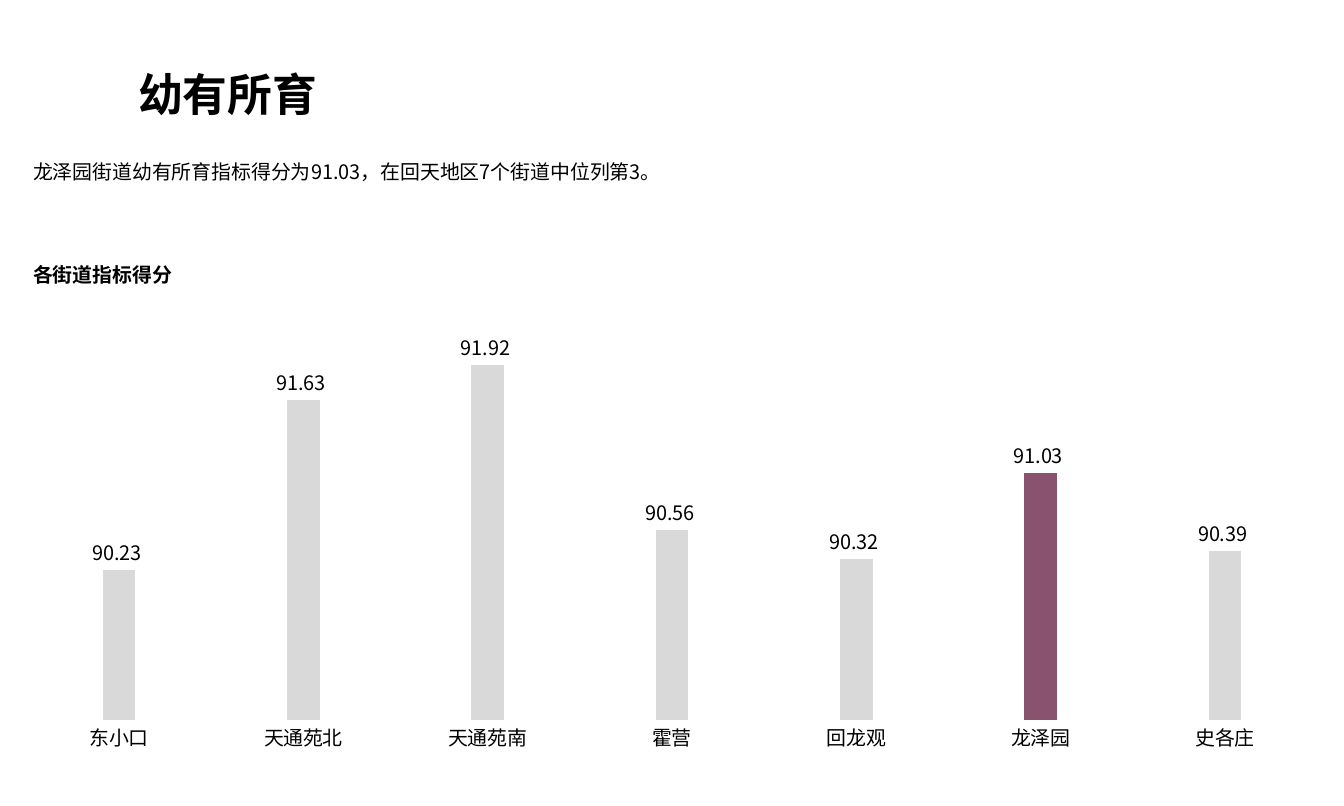
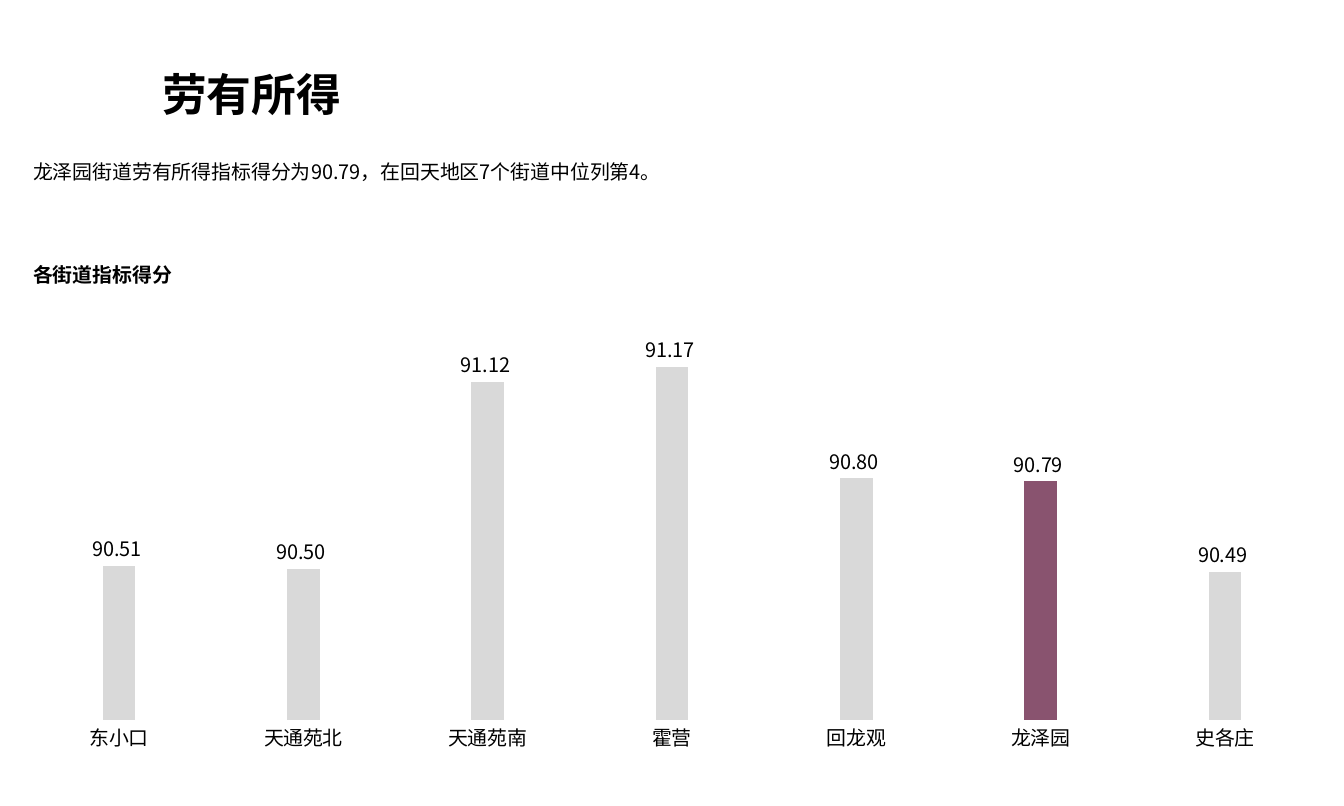
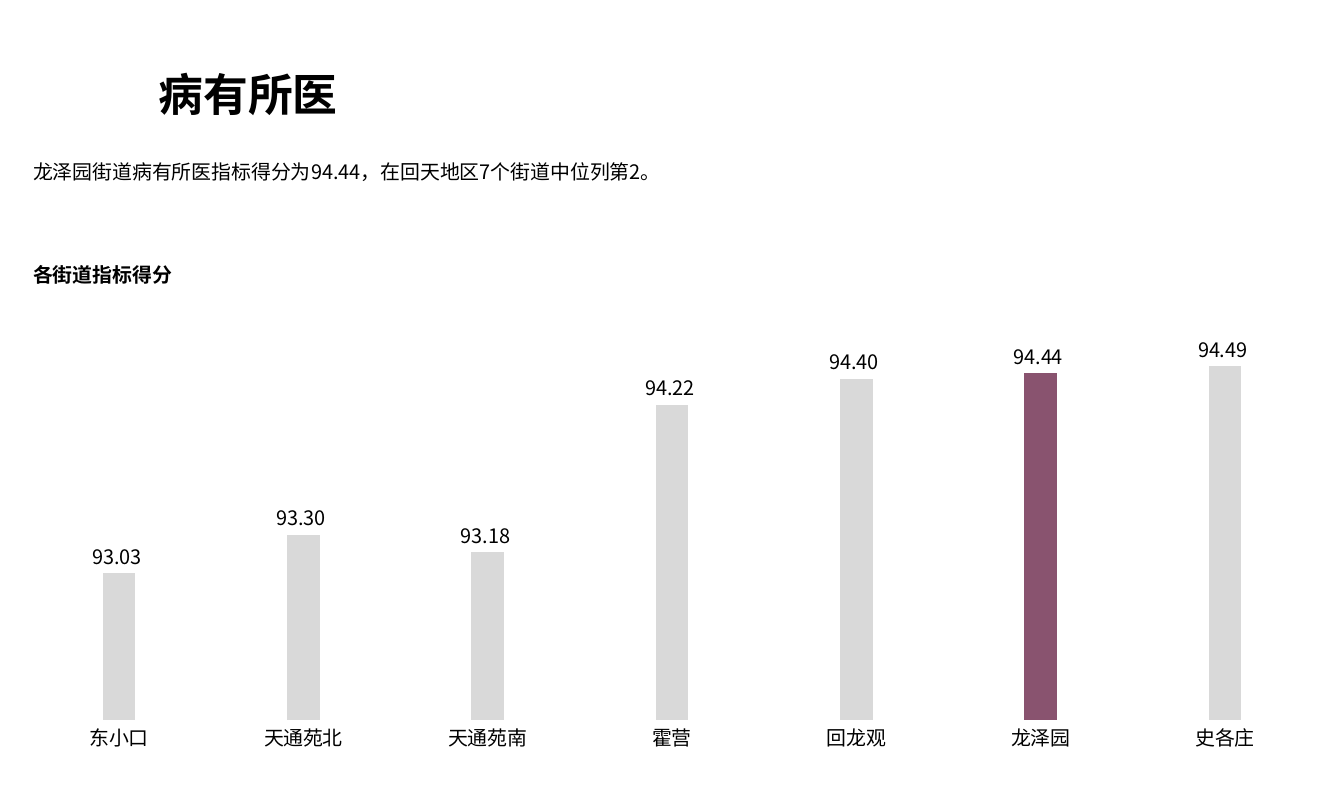
"""Build three slides that compare street scores, one indicator per slide."""
from lxml.etree import fromstring
from pptx import Presentation
from pptx.chart.data import CategoryChartData
from pptx.dml.color import RGBColor
from pptx.enum.chart import XL_CHART_TYPE as ChartType
from pptx.enum.chart import XL_LABEL_POSITION as LabelPos
from pptx.enum.chart import XL_TICK_MARK as Tick
from pptx.enum.text import MSO_ANCHOR as Anchor
from pptx.enum.text import MSO_AUTO_SIZE as AutoSize
from pptx.enum.text import PP_ALIGN as Align
from pptx.oxml import parse_xml
from pptx.oxml.ns import nsdecls, qn
from pptx.util import Cm, Pt

FONT = "Noto Sans CJK SC"
BLACK = RGBColor(0x00, 0x00, 0x00)
GREY = RGBColor(0xD9, 0xD9, 0xD9)
PLUM = RGBColor(0x89, 0x53, 0x6F)
NUMBER_FORMAT = "0.00_ "
STREETS = ["东小口", "天通苑北", "天通苑南", "霍营", "回龙观", "龙泽园", "史各庄"]
FOCUS = "龙泽园"
MARGIN = 0.69

INDICATORS = [
    dict(name="幼有所育", title_left=3.66, rank=3, low=89, high=92,
         scores=[90.23, 91.63, 91.92, 90.56, 90.32, 91.03, 90.39]),
    dict(name="劳有所得", title_left=4.34, rank=4, low=90, high=91.21,
         scores=[90.51, 90.50, 91.12, 91.17, 90.80, 90.79, 90.49]),
    dict(name="病有所医", title_left=4.24, rank=2, low=92, high=94.57,
         scores=[93.03, 93.30, 93.18, 94.22, 94.40, 94.44, 94.49]),
]


def set_font(font, size=16, bold=False):
    """Apply the shared typeface and colour."""
    font.name, font.size, font.bold = FONT, Pt(size), bold
    font.color.rgb = BLACK


def add_east_asian_font(root):
    """Use the shared typeface for Chinese characters under an element."""
    for latin in list(root.iter(qn("a:latin"))):
        latin.addnext(parse_xml(f'<a:ea {nsdecls("a")} typeface="{FONT}"/>'))


def write_text(sp, text, size=16, bold=False, anchor=Anchor.TOP, wrap=True,
               spacing=None):
    """Write one formatted paragraph into a shape."""
    tf = sp.text_frame
    tf.word_wrap, tf.vertical_anchor = wrap, anchor
    tf.auto_size = AutoSize.SHAPE_TO_FIT_TEXT
    p = tf.paragraphs[0]
    p.alignment, p.line_spacing = Align.LEFT, spacing
    r = p.add_run()
    r.text = text
    set_font(r.font, size, bold)
    add_east_asian_font(p._p)


def add_title(s, text, left):
    """Place and format the title placeholder."""
    sp = s.shapes.title
    sp.left, sp.top, sp.width, sp.height = Cm(left), Cm(0.99), Cm(7.72), Cm(2.29)
    write_text(sp, text, size=36, bold=True, spacing=1.5)


def add_text(s, text, top, width, **style):
    """Add a text box at the left margin."""
    sp = s.shapes.add_textbox(Cm(MARGIN), Cm(top), Cm(width), Cm(0.94))
    write_text(sp, text, **style)


def fix_plot_area(chart):
    """Give every chart the same inner plot rectangle."""
    layout = fromstring(
        f'<c:layout {nsdecls("c")}><c:manualLayout>'
        '<c:layoutTarget val="inner"/><c:xMode val="edge"/><c:yMode val="edge"/>'
        '<c:x val="0.02"/><c:y val="0.147"/><c:w val="0.96"/><c:h val="0.766"/>'
        '</c:manualLayout></c:layout>')
    plot_area = chart._chartSpace.chart.plotArea
    for old in plot_area.findall(qn("c:layout")):
        plot_area.remove(old)
    plot_area.insert(0, layout)


def add_score_chart(s, scores, low, high):
    """Add the column chart and highlight the focus street."""
    data = CategoryChartData(number_format=NUMBER_FORMAT)
    data.categories = STREETS
    data.add_series("Series 1", scores)
    chart = s.shapes.add_chart(ChartType.COLUMN_CLUSTERED, Cm(0), Cm(8.08),
                               Cm(38.1), Cm(13.51), data).chart
    chart.has_legend = chart.has_title = False
    set_font(chart.font)

    axis = chart.category_axis
    axis.major_tick_mark = axis.minor_tick_mark = Tick.NONE
    axis.format.line.fill.background()
    set_font(axis.tick_labels.font)
    scale = chart.value_axis
    scale.minimum_scale, scale.maximum_scale = low, high
    scale.has_major_gridlines = scale.visible = False

    plot = chart.plots[0]
    plot.gap_width, plot.overlap, plot.vary_by_categories = 464, -27, False
    series = plot.series[0]
    focus = series.points[STREETS.index(FOCUS)]
    for column, color in ((series, GREY), (focus, PLUM)):
        column.format.fill.solid()
        column.format.fill.fore_color.rgb = color

    labels = series.data_labels
    labels.show_value, labels.position = True, LabelPos.OUTSIDE_END
    labels.number_format, labels.number_format_is_linked = NUMBER_FORMAT, False
    set_font(labels.font)
    fix_plot_area(chart)
    add_east_asian_font(chart._chartSpace)


def add_indicator_slide(prs, name, title_left, rank, scores, low, high):
    """Add one slide for an indicator."""
    s = prs.slides.add_slide(prs.slide_layouts.get_by_name("Title Only"))
    score = scores[STREETS.index(FOCUS)]
    add_title(s, name, title_left)
    add_text(s, f"{FOCUS}街道{name}指标得分为{score:.2f},在回天地区"
                f"{len(STREETS)}个街道中位列第{rank}。".replace(",", "\uff0c"),
             top=4.41, width=36.73, anchor=Anchor.MIDDLE)
    add_text(s, "各街道指标得分", top=7.32, width=4.5, bold=True, wrap=False)
    add_score_chart(s, scores, low, high)


def main():
    """Build and save the presentation."""
    prs = Presentation()
    prs.slide_width, prs.slide_height = Cm(38.1), Cm(22.86)
    for indicator in INDICATORS:
        add_indicator_slide(prs, **indicator)
    prs.save("out.pptx")


if __name__ == "__main__":
    main()
